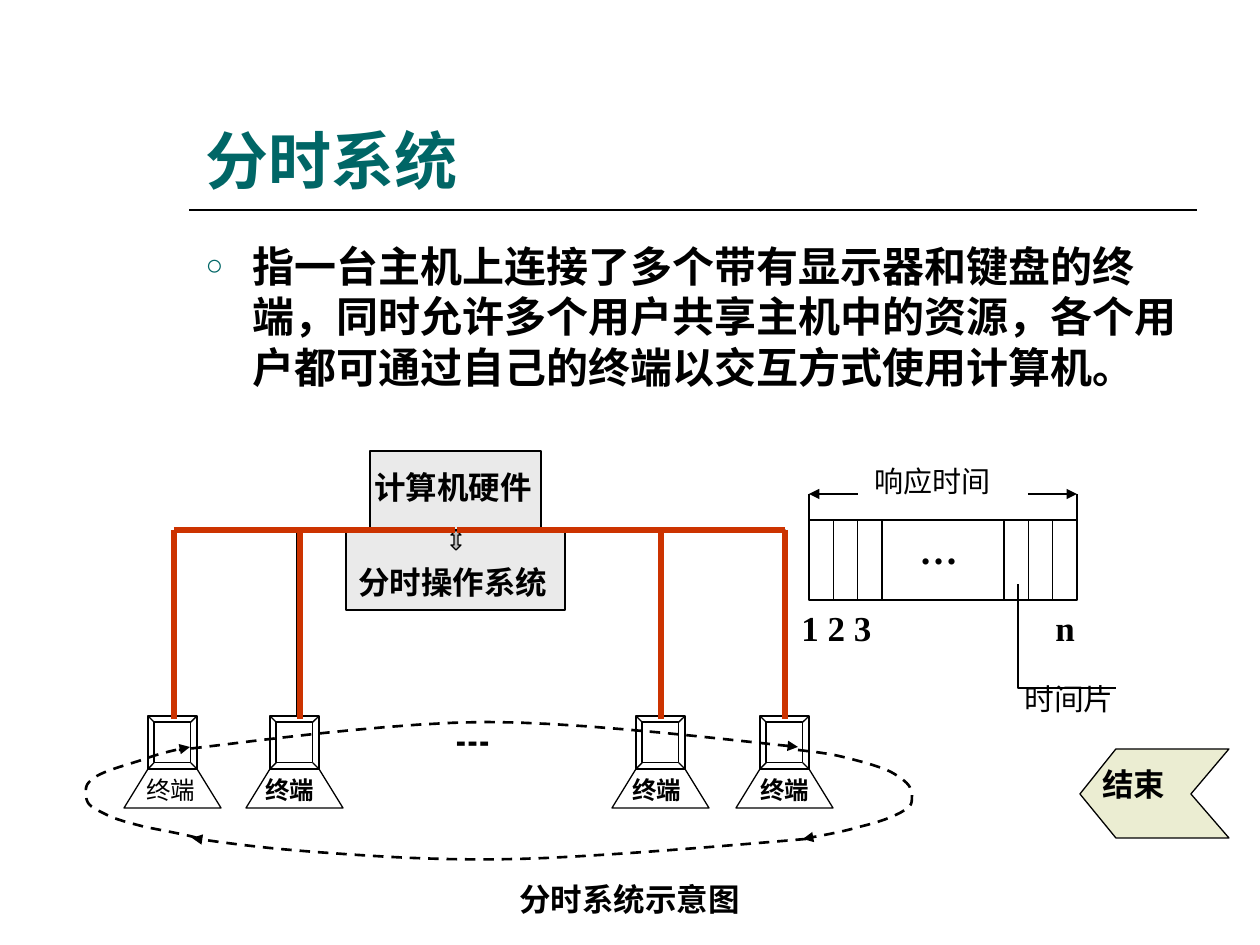
from lxml import etree
from pptx import Presentation
from pptx.dml.color import RGBColor
from pptx.enum.dml import MSO_LINE
from pptx.enum.shapes import MSO_CONNECTOR, MSO_SHAPE
from pptx.enum.text import MSO_ANCHOR, MSO_AUTO_SIZE, PP_ALIGN
from pptx.oxml.ns import qn
from pptx.util import Pt

RECT, BEVEL, ARROW = MSO_SHAPE.RECTANGLE, MSO_SHAPE.BEVEL, MSO_SHAPE.UP_DOWN_ARROW
STRAIGHT, DASH = MSO_CONNECTOR.STRAIGHT, MSO_LINE.DASH
TOP, BOTTOM, LEFT = MSO_ANCHOR.TOP, MSO_ANCHOR.BOTTOM, PP_ALIGN.LEFT
FIXED = MSO_AUTO_SIZE.NONE
PX = 914400 / 126
FINE = 100
COLORS = {"black": "000000", "teal": "006666", "gray": "EAEAEA",
          "silver": "C0C0C0", "red": "CC3300", "lime": "E1E4BA"}
TIMES, ARIAL, NOTO, DEJA = "Times New Roman", "Arial", "Noto Sans CJK SC", "DejaVu Sans"

TITLE = "分时系统"
BODY = "指一台主机上连接了多个带有显示器和键盘的终端，同时允许多个用户共享主机中的资源，各个用户都可通过自己的终端以交互方式使用计算机。"
HOST = "分时操作系统"
LABELS = [
    ("计算机硬件", (362, 462, 208, 50), dict(size=18, face=ARIAL, bold=True)),
    ("┅", (443, 716, 77, 63), dict(size=20, face=NOTO)),
    ("响应时间", (862, 461, 165, 49), dict(size=16.6, gap=0.9)),
    ("1 2 3", (789, 600, 120, 79), dict(size=20, bold=True)),
    ("n", (1043, 600, 60, 79), dict(size=20, bold=True)),
    ("…", (907, 520, 89, 59), dict(size=22, bold=True)),
    ("时间片", (1012, 679, 154, 50), dict(size=17, gap=0.9)),
    ("结束", (1090, 759, 129, 50), dict(size=18, face=ARIAL, bold=True)),
    ("分时系统示意图", (507, 874, 246, 50), dict(size=18, face=NOTO, bold=True, wrap=False)),
]
TERMS = [(148, 134, False), (270, 253, True), (636, 620, True), (760, 748, True)]
BUS = [(174, 451), (296, 455), (457, 662), (655, 785)]
DROPS = [174, 300, 661, 785]
SLICES = [1, 2, 3, 8, 9, 10]
LOOP = [
    ((798, 750), [(805, 751, 828, 753, 843, 757), (859, 761, 879, 766, 891, 772),
                  (905, 780, 912, 786, 912, 795), (912, 805, 912, 806, 900, 813),
                  (888, 819, 876, 823, 859, 827), (843, 832, 814, 837, 803, 839)], "tailEnd"),
    ((197, 838), [(188, 835, 160, 830, 145, 827), (130, 823, 117, 820, 107, 815),
                  (93, 808, 87, 806, 86, 796), (86, 788, 84, 784, 97, 776),
                  (107, 770, 130, 764, 145, 759), (160, 753, 180, 749, 190, 747)], "tailEnd"),
    ((806, 839), [(759, 843, 601, 857, 519, 859), (437, 861, 369, 856, 315, 852),
                  (261, 848, 217, 842, 192, 838)], "tailEnd"),
    ((798, 747), [(746, 742, 587, 722, 485, 722), (382, 723, 242, 743, 179, 750)], "headEnd"),
]

deck = Presentation()
deck.slide_width, deck.slide_height = round(1260 * PX), round(945 * PX)
slide = deck.slides.add_slide(deck.slide_layouts[1])
shapes = slide.shapes


def emu(*nums):
    return [round(n * PX) for n in nums]


def rgb(name):
    return RGBColor.from_string(COLORS[name])


def put(shape, text, size=18, face=TIMES, color="black", bold=False,
        anchor=TOP, gap=None, wrap=True):
    frame = shape.text_frame
    frame.auto_size = FIXED
    frame.word_wrap = wrap
    frame.vertical_anchor = anchor
    para = frame.paragraphs[0]
    para.alignment = LEFT
    para.space_before = Pt(0)
    if gap:
        para.line_spacing = gap
    run = para.add_run()
    run.text = text
    font = run.font
    font.size, font.name, font.bold = Pt(size), face, bold
    font.color.rgb = rgb(color)
    east = etree.SubElement(font._element, qn("a:ea"))
    east.set("typeface", DEJA if face == TIMES else face)
    return para


def label(text, box, **style):
    put(shapes.add_textbox(*emu(*box)), text, **style)


def tip(line, end):
    etree.SubElement(line._get_or_add_ln(), qn("a:" + end)).set("type", "triangle")


def paint(shape, fill=None, width=0.75):
    shape.shadow.inherit = False
    if fill:
        shape.fill.solid()
        shape.fill.fore_color.rgb = rgb(fill)
    else:
        shape.fill.background()
    shape.line.color.rgb = rgb("black")
    shape.line.width = Pt(width)
    return shape


def block(kind, box, **style):
    return paint(shapes.add_shape(kind, *emu(*box)), **style)


def trace(points, close=False, **style):
    grid = [(x * FINE, y * FINE) for x, y in points]
    pen = shapes.build_freeform(*grid[0], scale=PX / FINE)
    pen.add_line_segments(grid[1:], close=close)
    return paint(pen.convert_to_shape(), **style)


def rule(x1, y1, x2, y2, color="black", width=0.75, end=None):
    wire = shapes.add_connector(STRAIGHT, *emu(x1, y1, x2, y2))
    wire.line.color.rgb = rgb(color)
    wire.line.width = Pt(width)
    etree.SubElement(wire._element.spPr, qn("a:effectLst"))
    if end:
        tip(wire.line, end)


def bend(start, curves, steps=10):
    points = [start]
    for ax, ay, bx, by, cx, cy in curves:
        sx, sy = points[-1]
        for i in range(1, steps + 1):
            t = i / steps
            u = 1 - t
            mix = (u ** 3, 3 * u * u * t, 3 * u * t * t, t ** 3)
            points.append((sum(m * x for m, x in zip(mix, (sx, ax, bx, cx))),
                           sum(m * y for m, y in zip(mix, (sy, ay, by, cy)))))
    return points


def place(shape, box):
    shape.left, shape.top, shape.width, shape.height = emu(*box)


rule(189, 210, 1197, 210, width=1)
head, body = shapes.title, slide.placeholders[1]
place(head, (193, 45, 1008, 158))
put(head, TITLE, size=36, face=ARIAL, color="teal", bold=True, anchor=BOTTOM)
place(body, (193, 234, 1008, 700))
props = put(body, BODY, size=24, face=DEJA, bold=True)._p.get_or_add_pPr()
props.set("marL", str(emu(47)[0]))
props.set("indent", str(emu(-47)[0]))
props.set("hangingPunct", "0")
tint = etree.SubElement(props, qn("a:buClr"))
etree.SubElement(tint, qn("a:srgbClr")).set("val", COLORS["teal"])
etree.SubElement(props, qn("a:buSzPct")).set("val", "70000")
etree.SubElement(props, qn("a:buChar")).set("char", "○")

block(RECT, (370, 451, 171, 79), fill="gray")
host = block(RECT, (346, 530, 219, 80), fill="gray", width=1)
put(host, HOST, bold=True, anchor=BOTTOM)
host.text_frame.margin_bottom = emu(9)[0]
trace([(175, 716), (175, 530), (785, 530), (784, 715)])
for x in (297, 663):
    rule(x, 530, x, 716)
for x, _, _ in TERMS:
    block(BEVEL, (x, 716, 49, 53))
    trace([(x, 769), (x - 24, 808), (x + 73, 808), (x + 49, 769)])

block(RECT, (809, 520, 268, 80))
for n in SLICES:
    x = 809 + n * 268 / 11
    rule(x, 520, x, 600)
trace([(1018, 584), (1018, 688), (1116, 688)])
for near, far in ((858, 809), (1028, 1077)):
    rule(far, 494, far, 520)
    rule(near, 494, far, 494, end="tailEnd")

mark = block(ARROW, (451, 530, 10, 20), fill="silver")
mark.adjustments[0], mark.adjustments[1] = 0.5, 0.4
for x1, x2 in BUS:
    rule(x1, 530, x2, 530, color="red", width=3)
for x in DROPS:
    rule(x, 530, x, 719, color="red", width=3)
for _, x, bold in TERMS:
    label("终端", (x, 769, 98, 49), size=14, bold=bold)

for start, curves, end in LOOP:
    arc = trace(bend(start, curves), width=1.5)
    arc.line.dash_style = DASH
    tip(arc.line, end)

flag = trace([(1229, 838), (1116, 838), (1080, 794), (1116, 749), (1229, 749), (1191, 794)],
             close=True, fill="lime")
tone = flag._element.spPr.find(qn("a:solidFill"))[0]
etree.SubElement(tone, qn("a:alpha")).set("val", "65000")
for text, box, style in LABELS:
    label(text, box, **style)

deck.save("out.pptx")
